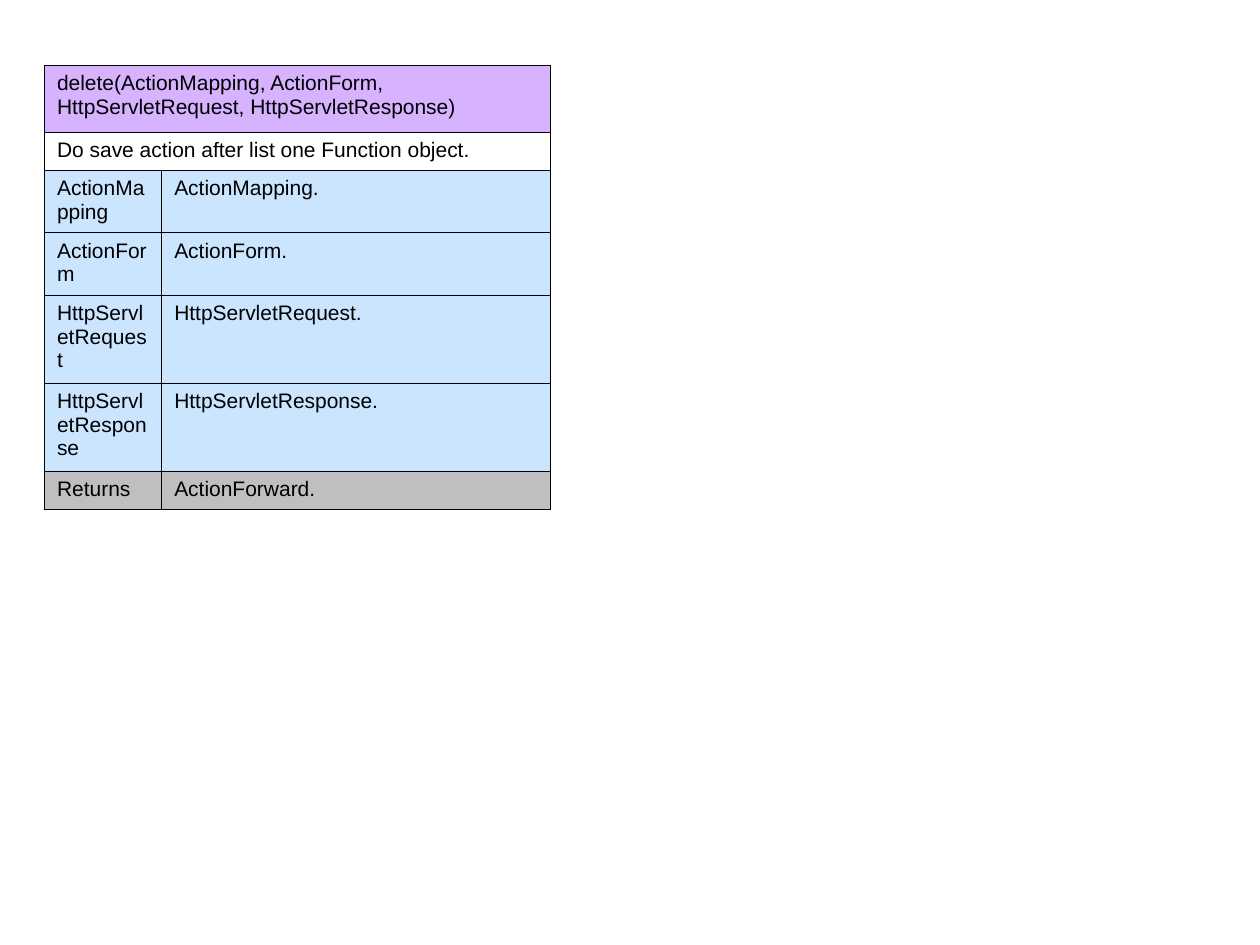
from lxml import etree
from pptx import Presentation
from pptx.dml.color import RGBColor
from pptx.oxml.ns import qn
from pptx.util import Pt

COLORS = {
    "text": "000000",
    "border": "000000",
    "signature": "AF67FF",
    "parameter": "99CCFF",
    "returns": "808080",
}
FILL_OPACITY = 50
BORDER_WIDTH = Pt(0.45)
COLUMN_WIDTHS = [67, 222.4]

# Fill name, row height in points, cell texts (a single text spans the row)
ROWS = [
    ("signature", 38.2, ["delete(ActionMapping, ActionForm, "
                         "HttpServletRequest, HttpServletResponse)"]),
    (None, 21.7, ["Do save action after list one Function object."]),
    ("parameter", 35.7, ["ActionMapping", "ActionMapping."]),
    ("parameter", 35.7, ["ActionForm", "ActionForm."]),
    ("parameter", 50.3, ["HttpServletRequest", "HttpServletRequest."]),
    ("parameter", 50.3, ["HttpServletResponse", "HttpServletResponse."]),
    ("returns", 21.7, ["Returns", "ActionForward."]),
]


def set_borders(cell):
    properties = cell._tc.get_or_add_tcPr()
    for side in ("lnL", "lnR", "lnT", "lnB"):
        line = etree.SubElement(properties, qn(f"a:{side}"), w=str(BORDER_WIDTH))
        fill = etree.SubElement(line, qn("a:solidFill"))
        etree.SubElement(fill, qn("a:srgbClr"), val=COLORS["border"])


def set_fill(cell, color_name):
    if color_name is None:
        cell.fill.background()
        return
    cell.fill.solid()
    cell.fill.fore_color.rgb = RGBColor.from_string(COLORS[color_name])
    color = cell._tc.tcPr.find(f"{qn('a:solidFill')}/{qn('a:srgbClr')}")
    etree.SubElement(color, qn("a:alpha"), val=str(FILL_OPACITY * 1000))


def set_text(cell, text):
    cell.margin_left = cell.margin_right = Pt(7.2)
    cell.margin_top = cell.margin_bottom = Pt(3.6)
    cell.text_frame.text = text
    paragraph = cell.text_frame.paragraphs[0]
    paragraph.space_before = Pt(3)
    font = paragraph.runs[0].font
    font.name = "Arial"
    font.size = Pt(12)
    font.color.rgb = RGBColor.from_string(COLORS["text"])


def add_method_table(slide, left, top):
    width = sum(COLUMN_WIDTHS)
    height = sum(row_height for _, row_height, _ in ROWS)
    table = slide.shapes.add_table(len(ROWS), len(COLUMN_WIDTHS), Pt(left),
                                   Pt(top), Pt(width), Pt(height)).table
    table.first_row = table.horz_banding = False
    for column, column_width in zip(table.columns, COLUMN_WIDTHS):
        column.width = Pt(column_width)

    for row, (color_name, row_height, texts) in zip(table.rows, ROWS):
        row.height = Pt(row_height)
        cells = list(row.cells)
        for cell in cells:
            set_borders(cell)
            set_fill(cell, color_name)
        if len(texts) == 1:
            cells[0].merge(cells[-1])
        for cell, text in zip(cells, texts):
            set_text(cell, text)


def main():
    presentation = Presentation()
    presentation.slide_width = Pt(720)
    presentation.slide_height = Pt(540)
    # Blank layout: the slide has no title
    slide = presentation.slides.add_slide(presentation.slide_layouts[6])
    add_method_table(slide, 25.4, 37.4)
    presentation.save("out.pptx")


if __name__ == "__main__":
    main()
